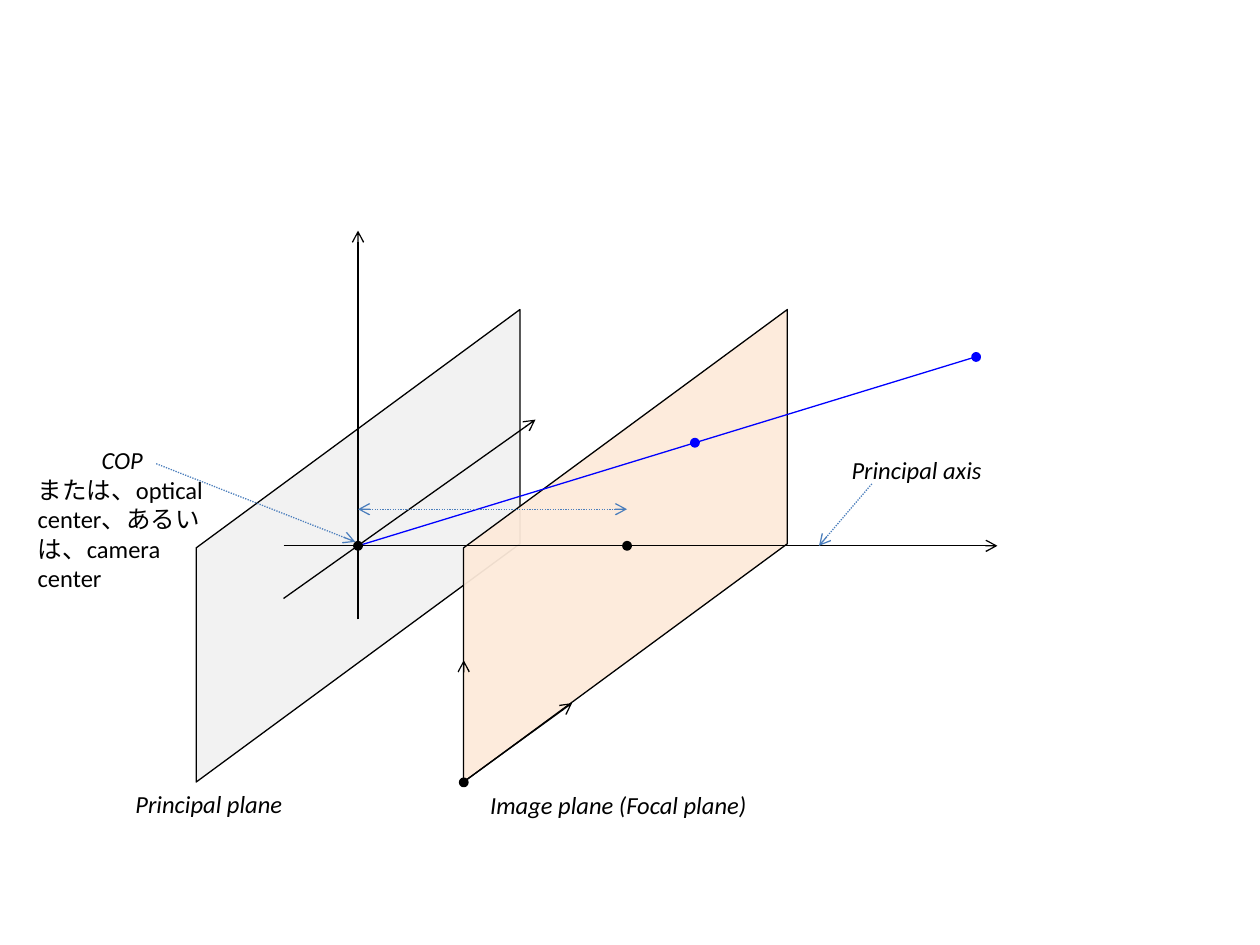
from dataclasses import dataclass

from lxml import etree
from pptx import Presentation
from pptx.dml.color import RGBColor
from pptx.enum import dml, shapes, text
from pptx.oxml import ns
from pptx.slide import Slide
from pptx.util import Pt

COLORS = {
    "ink": "000000",
    "ray": "0000FF",
    "guide": "4B7EBC",
    "principal": "F2F2F2",
    "image": "FDEADA",
}
LINE_WIDTH = 0.75
DOT_SIZE = 3.6
PLANE_LENGTH, PLANE_DEPTH = 270, 185
COP_X, AXIS_Y = 204.6, 311.9
FOCAL_X = 358.3


@dataclass
class Plane:
    center_x: float
    color: str


@dataclass
class Line:
    start: tuple[float, float]
    end: tuple[float, float]
    color: str = "ink"
    dotted: bool = False
    head: bool = False
    tail: bool = True


@dataclass
class Dot:
    x: float
    y: float
    color: str = "ink"


@dataclass
class Label:
    words: str
    left: float
    top: float
    width: float
    height: float = 24.2
    italic: bool = True
    wrap: bool = False


PLANES = [Plane(COP_X, "principal"), Plane(357.4, "image")]

LINES = [
    Line((COP_X, AXIS_Y), (558, 203.8), "ray", tail=False),
    Line((162, 342), (306, 239.8)),
    Line((COP_X, 354), (COP_X, 131.8)),
    Line((162, AXIS_Y), (570, AXIS_Y)),
    Line((89.3, 265), (203, 309.6), "guide", dotted=True),
    Line((498.2, 276.5), (468, AXIS_Y), "guide", dotted=True),
    Line((COP_X, 291), (FOCAL_X, 291), "guide", dotted=True, head=True),
    Line((264.5, 447.1), (326.9, 401.8)),
    Line((265, 446.4), (265, 377.3)),
]

DOTS = [
    Dot(557.8, 204, "ray"),
    Dot(397.1, 253, "ray"),
    Dot(COP_X, AXIS_Y),
    Dot(FOCAL_X, AXIS_Y),
    Dot(265, 447.1),
]

LABELS = [
    Label("Principal plane", 70.3, 447.1, 99.4),
    Label("Image plane (Focal plane)", 273, 448, 162.7),
    Label("COP", 51, 250.6, 38.2),
    Label("または、optical center、あるいは、camera center", 14.4, 267.8, 116.6, 58.3,
          italic=False, wrap=True),
    Label("Principal axis", 479.5, 256.3, 90),
]


def rgb(name: str) -> RGBColor:
    return RGBColor.from_string(COLORS[name])


def draw_plane(slide: Slide, plane: Plane) -> None:
    panel = slide.shapes.add_shape(
        shapes.MSO_SHAPE.PARALLELOGRAM,
        Pt(plane.center_x - PLANE_LENGTH / 2), Pt(AXIS_Y - PLANE_DEPTH / 2),
        Pt(PLANE_LENGTH), Pt(PLANE_DEPTH))
    panel.adjustments[0] = 0.736
    panel.rotation = 270
    panel.shadow.inherit = False
    panel.fill.solid()
    panel.fill.fore_color.rgb = rgb(plane.color)
    panel.line.color.rgb = rgb("ink")
    panel.line.width = Pt(LINE_WIDTH)
    properties = panel._element.spPr
    properties.find(ns.qn("a:xfrm")).set("flipV", "1")
    tint = properties.find(ns.qn("a:solidFill")).find(ns.qn("a:srgbClr"))
    etree.SubElement(tint, ns.qn("a:alpha")).set("val", "94000")


def draw_line(slide: Slide, line: Line) -> None:
    stroke = slide.shapes.add_connector(
        shapes.MSO_CONNECTOR.STRAIGHT, *map(Pt, line.start + line.end))
    stroke.line.color.rgb = rgb(line.color)
    stroke.line.width = Pt(LINE_WIDTH)
    if line.dotted:
        stroke.line.dash_style = dml.MSO_LINE.ROUND_DOT
    outline = stroke.line._get_or_add_ln()
    for tag, shown in (("a:headEnd", line.head), ("a:tailEnd", line.tail)):
        if shown:
            etree.SubElement(outline, ns.qn(tag)).set("type", "arrow")
    etree.SubElement(stroke._element.spPr, ns.qn("a:effectLst"))


def draw_dot(slide: Slide, dot: Dot) -> None:
    point = slide.shapes.add_shape(
        shapes.MSO_SHAPE.OVAL,
        Pt(dot.x - DOT_SIZE / 2), Pt(dot.y - DOT_SIZE / 2),
        Pt(DOT_SIZE), Pt(DOT_SIZE))
    point.shadow.inherit = False
    point.fill.solid()
    point.fill.fore_color.rgb = rgb(dot.color)
    point.line.color.rgb = rgb(dot.color)
    point.line.width = Pt(2)


def draw_label(slide: Slide, label: Label) -> None:
    caption = slide.shapes.add_textbox(
        Pt(label.left), Pt(label.top), Pt(label.width), Pt(label.height))
    frame = caption.text_frame
    frame.word_wrap = label.wrap
    frame.auto_size = text.MSO_AUTO_SIZE.SHAPE_TO_FIT_TEXT
    run = frame.paragraphs[0].add_run()
    run.text = label.words
    run.font.name = "Calibri"
    run.font.size = Pt(14)
    run.font.italic = label.italic
    run.font.color.rgb = rgb("ink")


def main() -> None:
    deck = Presentation()
    deck.slide_width, deck.slide_height = Pt(720), Pt(540)
    slide = deck.slides.add_slide(deck.slide_layouts[6])
    for draw, items in ((draw_plane, PLANES), (draw_line, LINES),
                        (draw_dot, DOTS), (draw_label, LABELS)):
        for item in items:
            draw(slide, item)
    deck.save("out.pptx")


if __name__ == "__main__":
    main()
